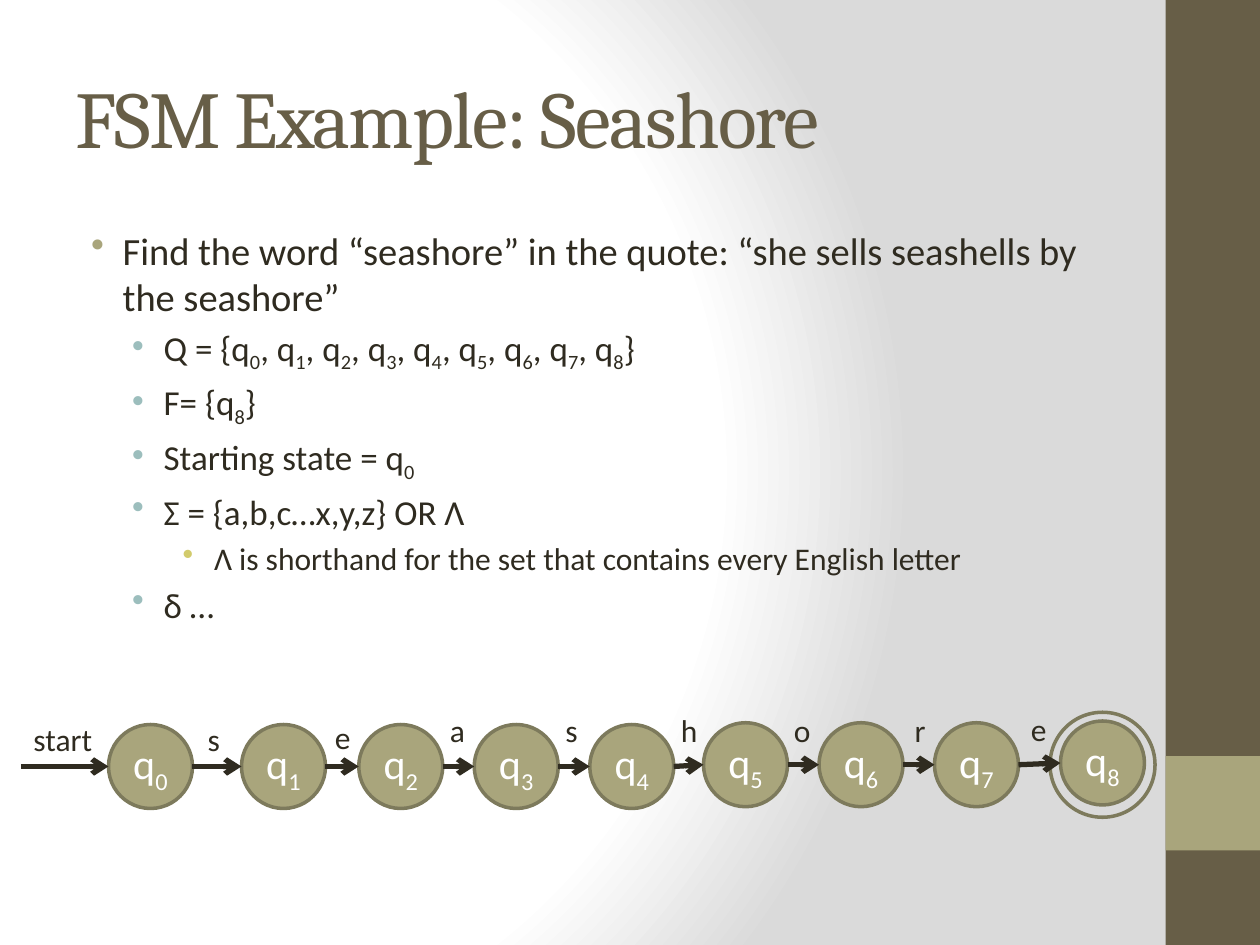
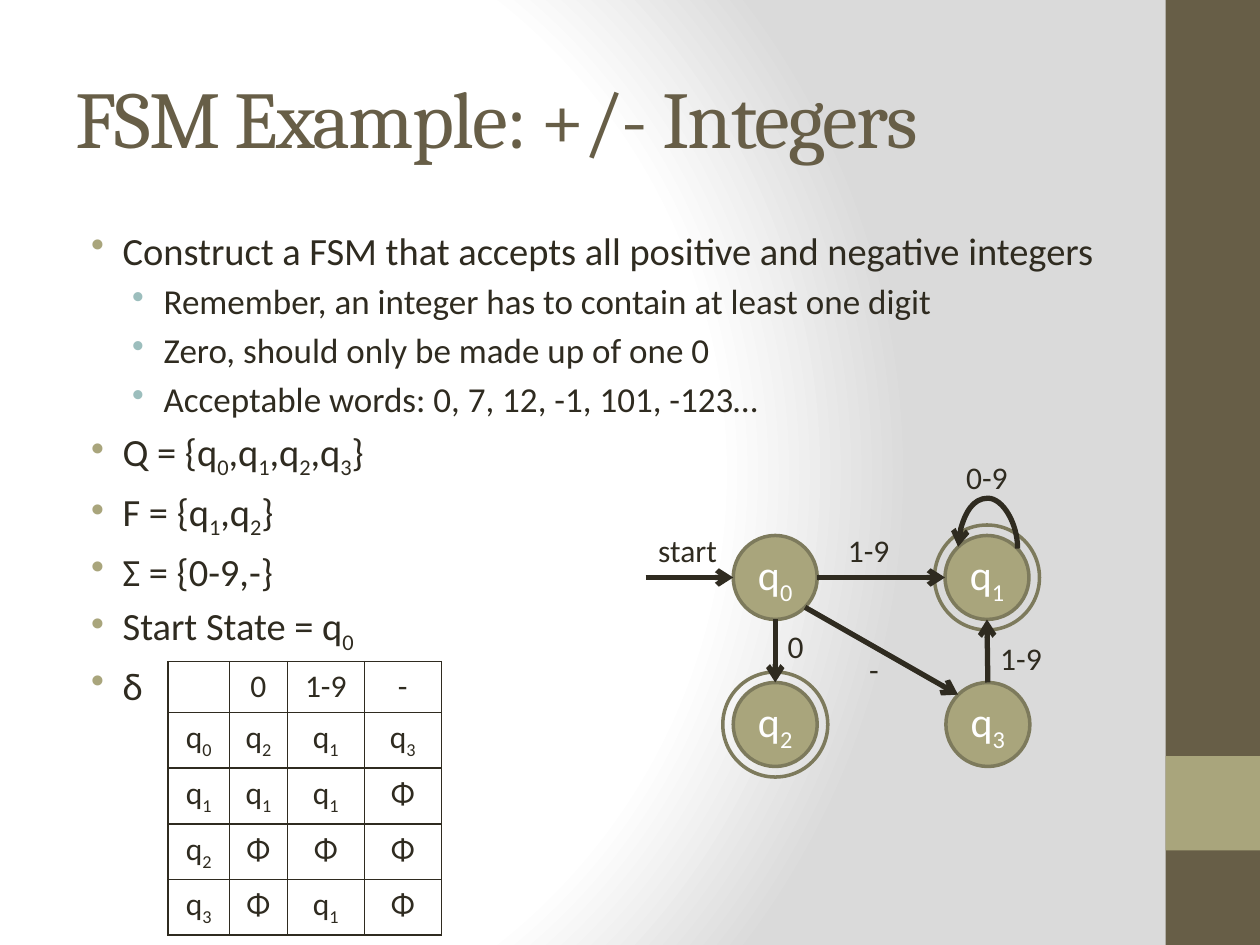
from lxml import etree
from pptx import Presentation
from pptx.dml.color import RGBColor
from pptx.enum.shapes import MSO_CONNECTOR, MSO_SHAPE
from pptx.enum.text import MSO_ANCHOR, PP_ALIGN
from pptx.oxml import parse_xml
from pptx.oxml.ns import qn
from pptx.util import Pt

RECTANGLE, OVAL = MSO_SHAPE.RECTANGLE, MSO_SHAPE.OVAL
STRAIGHT, CURVE = MSO_CONNECTOR.STRAIGHT, MSO_CONNECTOR.CURVE
MIDDLE, TOP = MSO_ANCHOR.MIDDLE, MSO_ANCHOR.TOP
LEFT, CENTER = PP_ALIGN.LEFT, PP_ALIGN.CENTER

COLORS = {
    "ink": "2F2B20", "brown": "675E47", "olive": "A9A57C", "outline": "7D7A5C",
    "teal": "9CBEBD", "yellow": "D2CB6C", "white": "FFFFFF", "gray": "DADADA",
}
FORMATS = {
    "title": {"name": "Cambria", "size": Pt(46)},
    "state": {"name": "Calibri", "size": Pt(24)},
    "label": {"name": "Calibri", "size": Pt(18)},
}
LEVELS = [(22, 27, "olive"), (20, 50.4, "teal"), (18, 79.2, "yellow")]
LABEL_WIDTHS = {"start": 48, "1-9": 39, "0-9": 39, "s": 21.6, "r": 21, "-": 20}
RADIUS, RING_RADIUS, START_LENGTH = 24, 30, 50
RIGHT, DOWN, UP, DIAGONAL = (1, 0), (0, 1), (0, -1), (0.71, 0.71)
DRAWING = "http://schemas.openxmlformats.org/drawingml/2006/main"
PRESENTATION = "http://schemas.openxmlformats.org/presentationml/2006/main"
BACKGROUND = f"""<p:bg xmlns:p="{PRESENTATION}" xmlns:a="{DRAWING}"><p:bgPr>
<a:gradFill rotWithShape="1"><a:gsLst>
<a:gs pos="0"><a:srgbClr val="{COLORS['white']}"/></a:gs>
<a:gs pos="75000"><a:srgbClr val="{COLORS['white']}"/></a:gs>
<a:gs pos="100000"><a:srgbClr val="{COLORS['gray']}"/></a:gs></a:gsLst>
<a:path path="circle"><a:fillToRect l="20000" t="50000" r="100000" b="50000"/></a:path>
</a:gradFill><a:effectLst/></p:bgPr></p:bg>"""


def rgb(color):
    return RGBColor.from_string(COLORS[color])


def child(parent, tag, **attributes):
    return etree.SubElement(parent, qn(tag), attributes)


class Deck:
    def __init__(self):
        self.presentation = Presentation()
        self.presentation.slide_width = Pt(720)
        self.presentation.slide_height = Pt(540)
        self.slide = None

    def new_slide(self, title):
        self.slide = self.presentation.slides.add_slide(self.presentation.slide_layouts[6])
        self.slide.element.cSld.insert(0, parse_xml(BACKGROUND))
        self.shape(RECTANGLE, 666, 0, 54, 540, "brown")
        self.shape(RECTANGLE, 666, 432, 54, 54, "olive")
        frame = self.text_frame(36, 21.6, 600, 90, anchor=MIDDLE)
        self.add_text(frame.paragraphs[0], title, "title", "brown", spc="-100")

    def shape(self, kind, left, top, width, height, fill=None, outline=None):
        shape = self.slide.shapes.add_shape(kind, Pt(left), Pt(top), Pt(width), Pt(height))
        shape.shadow.inherit = False
        if fill:
            shape.fill.solid()
            shape.fill.fore_color.rgb = rgb(fill)
        else:
            shape.fill.background()
        if outline:
            shape.line.color.rgb = rgb(outline)
            shape.line.width = Pt(2)
        else:
            shape.line.fill.background()
        return shape

    def text_frame(self, left, top, width, height, wrap=True, anchor=TOP):
        box = self.slide.shapes.add_textbox(Pt(left), Pt(top), Pt(width), Pt(height))
        frame = box.text_frame
        frame.word_wrap = wrap
        frame.vertical_anchor = anchor
        return frame

    def add_text(self, paragraph, text, style, color, align=LEFT, size=None, **attributes):
        paragraph.alignment = align
        first, *marked = text.split("_")
        pieces = [(first, False)]
        for part in marked:
            pieces += [(part[0], True), (part[1:], False)]
        for piece, subscript in pieces:
            if not piece:
                continue
            run = paragraph.add_run()
            run.text = piece
            for key, value in FORMATS[style].items():
                setattr(run.font, key, value)
            if size:
                run.font.size = Pt(size)
            run.font.color.rgb = rgb(color)
            properties = run.font._element
            for key, value in attributes.items():
                properties.set(key, value)
            if subscript:
                properties.set("baseline", "-25000")

    def bullets(self, items):
        frame = self.text_frame(36, 126, 600, 378)
        for index, (level, text) in enumerate(items):
            paragraph = frame.add_paragraph() if index else frame.paragraphs[0]
            size, margin, color = LEVELS[level]
            self.add_text(paragraph, text, "label", "ink", size=size)
            paragraph.level = level
            paragraph.space_before = Pt(size * 0.2)
            properties = paragraph._p.get_or_add_pPr()
            properties.set("marL", str(Pt(margin)))
            properties.set("indent", str(-Pt(18)))
            child(child(properties, "a:buClr"), "a:srgbClr", val=COLORS[color])
            child(properties, "a:buChar", char="•")

    def label(self, text, left, top):
        frame = self.text_frame(left, top, LABEL_WIDTHS.get(text, 24), 29, wrap=False)
        self.add_text(frame.paragraphs[0], text, "label", "ink")

    def state(self, name, center):
        x, y = center
        circle = self.shape(OVAL, x - RADIUS, y - RADIUS, 2 * RADIUS, 2 * RADIUS,
                            "olive", "outline")
        frame = circle.text_frame
        frame.vertical_anchor = MIDDLE
        for side in ("left", "top", "right", "bottom"):
            setattr(frame, f"margin_{side}", 0)
        self.add_text(frame.paragraphs[0], name, "state", "white", CENTER)

    def ring(self, x, y):
        self.shape(OVAL, x - RING_RADIUS, y - RING_RADIUS, 2 * RING_RADIUS,
                   2 * RING_RADIUS, outline="outline")

    def arrow(self, x1, y1, x2, y2, kind=STRAIGHT):
        arrow = self.slide.shapes.add_connector(kind, Pt(x1), Pt(y1), Pt(x2), Pt(y2))
        arrow.line.color.rgb = rgb("ink")
        arrow.line.width = Pt(3)
        properties = arrow._element.spPr
        child(properties.find(qn("a:ln")), "a:tailEnd", type="arrow")
        child(properties, "a:effectLst")
        return properties

    def transition(self, source, target, direction=RIGHT):
        dx, dy = (RADIUS * part for part in direction)
        self.arrow(source[0] + dx, source[1] + dy, target[0] - dx, target[1] - dy)

    def start(self, center):
        x, y = center
        left = x - RADIUS - START_LENGTH
        self.arrow(left, y, x - RADIUS, y)
        self.label("start", left, y - 30)

    def self_loop(self, x, y, width, rise):
        properties = self.arrow(x - 0.5, y + width / 2, x + 0.5, y - width / 2, CURVE)
        properties.find(qn("a:xfrm")).set("rot", "16200000")
        geometry = properties.find(qn("a:prstGeom"))
        guides = geometry.find(qn("a:avLst"))
        if guides is None:
            guides = child(geometry, "a:avLst")
        child(guides, "a:gd", name="adj1", fmla=f"val {rise * 100000}")

    def table(self, left, top, widths, row_height, rows):
        table = self.slide.shapes.add_table(
            len(rows), len(widths), Pt(left), Pt(top),
            Pt(sum(widths)), Pt(row_height * len(rows))).table
        table.first_row = table.horz_banding = False
        for column, width in zip(table.columns, widths):
            column.width = Pt(width)
        for row, texts in zip(table.rows, rows):
            row.height = Pt(row_height)
            for cell, text in zip(row.cells, texts):
                self.add_text(cell.text_frame.paragraphs[0], text, "label", "ink", CENTER)
                properties = cell._tc.get_or_add_tcPr()
                for side in ("lnL", "lnR", "lnT", "lnB"):
                    border = child(properties, f"a:{side}", w=str(Pt(1)))
                    child(child(border, "a:solidFill"), "a:srgbClr", val=COLORS["ink"])
                cell.fill.background()


def seashore(deck):
    deck.new_slide("FSM Example: Seashore")
    names = [f"q_{number}" for number in range(9)]
    deck.bullets([
        (0, "Find the word “seashore” in the quote: “she sells seashells by the seashore”"),
        (1, "Q = {" + ", ".join(names) + "}"),
        (1, "F= {q_8}"),
        (1, "Starting state = q_0"),
        (1, "Σ = {a,b,c…x,y,z} OR Λ"),
        (2, "Λ is shorthand for the set that contains every English letter"),
        (1, "δ …"),
    ])
    centers = list(zip((86, 162, 229, 295, 361, 426, 492, 558, 630),
                       [438] * 5 + [437] * 3 + [436]))
    for name, center in zip(names, centers):
        deck.state(name, center)
    deck.ring(630, 437)
    deck.start(centers[0])
    for source, target in zip(centers, centers[1:]):
        deck.transition(source, target)
    label_lefts = (111.6, 184.3, 250, 316, 382, 446.5, 515.5, 582)
    label_tops = (408, 407, 402.5, 402.5, 403, 402.5, 402.5, 402)
    for letter, left, top in zip("seashore", label_lefts, label_tops):
        deck.label(letter, left, top)


def integers(deck):
    deck.new_slide("FSM Example: +/- Integers")
    deck.bullets([
        (0, "Construct a FSM that accepts all positive and negative integers"),
        (1, "Remember, an integer has to contain at least one digit"),
        (1, "Zero, should only be made up of one 0"),
        (1, "Acceptable words: 0, 7, 12, -1, 101, -123…"),
        (0, "Q = {q_0,q_1,q_2,q_3}"),
        (0, "F = {q_1,q_2}"),
        (0, "Σ = {0-9,-}"),
        (0, "Start State = q_0"),
        (0, "δ"),
    ])
    deck.table(96, 378, (35.2, 33, 44, 44), 29.2, [
        ("", "0", "1-9", "-"),
        ("q_0", "q_2", "q_1", "q_3"),
        ("q_1", "q_1", "q_1", "Φ"),
        ("q_2", "Φ", "Φ", "Φ"),
        ("q_3", "Φ", "q_1", "Φ"),
    ])
    q0, q1, q2, q3 = centers = [(443, 330), (564, 330), (443, 414), (564.5, 414)]
    for accepting in (q1, q2):
        deck.ring(*accepting)
    for number, center in enumerate(centers):
        deck.state(f"q_{number}", center)
    deck.start(q0)
    deck.transition(q0, q1)
    deck.transition(q0, q2, DOWN)
    deck.transition(q0, q3, DIAGONAL)
    deck.transition(q3, q1, UP)
    deck.self_loop(564.5, 313, 34, 29)
    for text, left, top in (("1-9", 477.4, 300), ("0-9", 545, 258), ("0", 443, 355),
                            ("-", 489.6, 368), ("1-9", 564.5, 361.5)):
        deck.label(text, left, top)


def main():
    deck = Deck()
    seashore(deck)
    integers(deck)
    deck.presentation.save("out.pptx")


if __name__ == "__main__":
    main()
